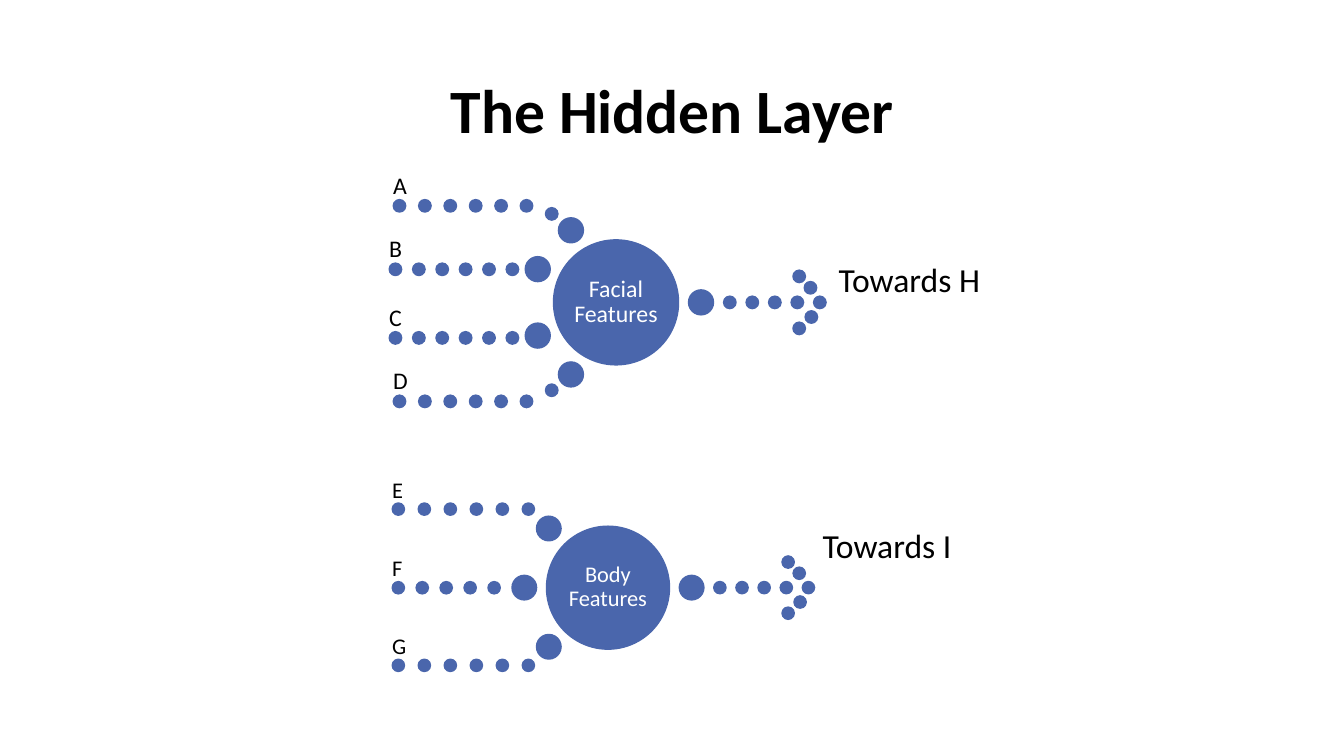
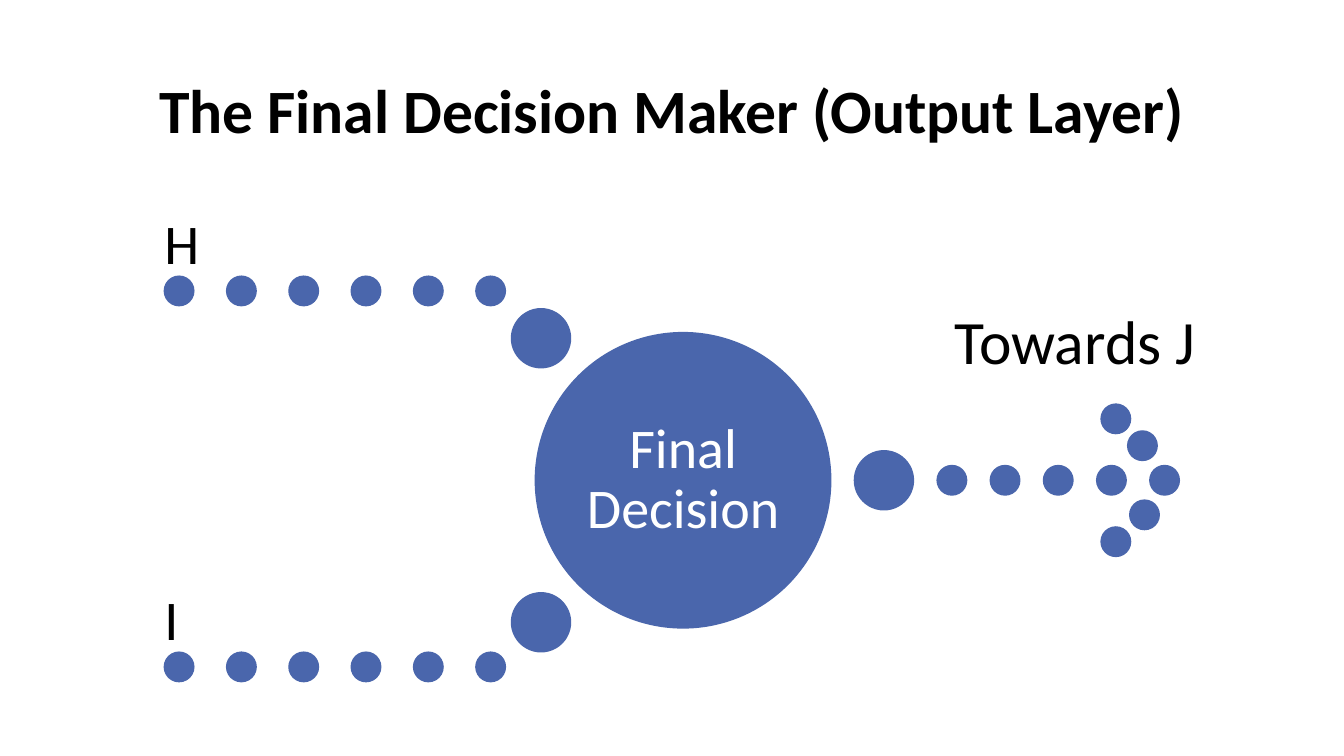
import math

import pptx
import pptx.dml.color
import pptx.enum.shapes
import pptx.enum.text
import pptx.util

Inches = pptx.util.Inches
ALIGN = pptx.enum.text.PP_ALIGN
ANCHOR = pptx.enum.text.MSO_ANCHOR

FONT = "Calibri"
BLUE, BLACK, WHITE = "4A66AC", "000000", "FFFFFF"
TITLE_BOX = (0.92, 0.4, 11.5, 1.45)
OUTPUT_LABEL_WIDTH = 3.21

# Proportions of a diagram, relative to the diameter of its circle
DOT, JOINT, ORBIT, GAP = 0.1, 0.2, 0.68, 0.08
ARROW_STEP, ARROW_DOTS = 0.18, 5
LABEL_HEIGHT, TEXT_BOX, TEXT_INSET = 0.25, 0.71, 0.02
# Arrowhead dots, in dot sizes from the tip
ARROWHEAD = [(-1.65, -2.08), (-1.65, 2.08), (-0.75, -1.17), (-0.68, 1.17)]

# circle: left, top, diameter
# inputs: label, first dot left, last dot left, top, dot count, joint angle, bend dot
# output: label, left, top, height, text size
SLIDES = [
    ("The Hidden Layer", [
        dict(name="Body Features", circle=(5.42, 5.22, 1.22), size=16,
             inputs=[("E", 3.89, 5.18, 4.99, 6, 45, None),
                     ("F", 3.89, 4.84, 5.77, 5, 0, None),
                     ("G", 3.89, 5.18, 6.54, 6, -45, None)],
             output=("Towards I", 8.06, 5.16, 0.5, 24)),
        dict(name="Facial Features", circle=(5.49, 2.38, 1.24), size=17,
             inputs=[("A", 3.9, 5.16, 1.98, 6, 58, (5.41, 2.06)),
                     ("B", 3.86, 5.02, 2.61, 6, 23, None),
                     ("C", 3.86, 5.02, 3.29, 6, -23, None),
                     ("D", 3.9, 5.16, 3.92, 6, -58, (5.41, 3.81))],
             output=("Towards H", 8.22, 2.52, 0.5, 24)),
    ]),
    ("The Final Decision Maker (Output Layer)", [
        dict(name="Final Decision", circle=(5.31, 3.3, 2.93), size=40,
             inputs=[("H", 1.63, 4.72, 2.74, 6, 45, None),
                     ("I", 1.63, 4.72, 6.47, 6, -45, None)],
             output=("Towards J", 9.37, 2.96, 0.84, 44)),
    ]),
]


def rgb(value):
    return pptx.dml.color.RGBColor.from_string(value)


def write(frame, text, size, color=BLACK, bold=False, align=ALIGN.LEFT,
          anchor=ANCHOR.TOP, spacing=None, inset=None):
    frame.word_wrap = True
    frame.vertical_anchor = anchor
    if inset is not None:
        frame.margin_left = frame.margin_right = Inches(inset)
        frame.margin_top = frame.margin_bottom = Inches(inset)
    paragraph = frame.paragraphs[0]
    paragraph.alignment = align
    paragraph.line_spacing = spacing
    run = paragraph.add_run()
    run.text = text
    run.font.name = FONT
    run.font.size = pptx.util.Pt(size)
    run.font.bold = bold
    run.font.color.rgb = rgb(color)


def add_text(shapes, box, text, size, **text_format):
    textbox = shapes.add_textbox(*map(Inches, box))
    write(textbox.text_frame, text, size, **text_format)
    return textbox


def add_circle(shapes, left, top, diameter):
    shape = shapes.add_shape(pptx.enum.shapes.MSO_SHAPE.OVAL,
                             *map(Inches, (left, top, diameter, diameter)))
    shape.shadow.inherit = False
    shape.fill.solid()
    shape.fill.fore_color.rgb = rgb(BLUE)
    shape.line.color.rgb = rgb(BLUE)
    shape.line.width = pptx.util.Pt(1)


def add_arrow(shapes, circle):
    left, top, diameter = circle
    dot, joint, gap = (ratio * diameter for ratio in (DOT, JOINT, GAP))
    middle = top + diameter / 2
    joint_left = left + diameter + gap
    first = joint_left + joint + gap
    tip = first + (ARROW_DOTS - 1) * ARROW_STEP * diameter
    dot_top = middle - dot / 2
    add_circle(shapes, joint_left, middle - joint / 2, joint)
    for index in range(ARROW_DOTS):
        add_circle(shapes, first + index * ARROW_STEP * diameter, dot_top, dot)
    for across, down in ARROWHEAD:
        add_circle(shapes, tip + across * dot, dot_top + down * dot, dot)


def add_input(shapes, circle, size, label, first, last, top, count, angle, bend):
    """Draw a labelled row of dots and the joint that leads it to the circle."""
    left, circle_top, diameter = circle
    dot, joint = DOT * diameter, JOINT * diameter
    offset = (diameter - joint) / 2
    radians = math.radians(angle)
    add_circle(shapes, left + offset - ORBIT * diameter * math.cos(radians),
               circle_top + offset - ORBIT * diameter * math.sin(radians), joint)
    step = (last - first) / (count - 1)
    for index in range(count):
        add_circle(shapes, first + index * step, top, dot)
    if bend:
        add_circle(shapes, *bend, dot)
    height = LABEL_HEIGHT * diameter
    add_text(shapes, (first, top - height, last + dot - first, height), label, size,
             anchor=ANCHOR.BOTTOM, spacing=0.9, inset=0)


def add_neuron(slide, name, circle, size, inputs, output):
    shapes = slide.shapes.add_group_shape().shapes
    left, top, diameter = circle
    add_arrow(shapes, circle)
    add_circle(shapes, *circle)
    side = TEXT_BOX * diameter
    margin = (diameter - side) / 2
    add_text(shapes, (left + margin, top + margin, side, side), name, size,
             color=WHITE, align=ALIGN.CENTER, anchor=ANCHOR.MIDDLE, spacing=0.9,
             inset=TEXT_INSET * diameter)
    for row in inputs:
        add_input(shapes, circle, size, *row)
    label, label_left, label_top, height, label_size = output
    textbox = add_text(slide.shapes, (label_left, label_top, OUTPUT_LABEL_WIDTH, height),
                       label, label_size)
    textbox.text_frame.auto_size = pptx.enum.text.MSO_AUTO_SIZE.SHAPE_TO_FIT_TEXT


def add_titled_slide(presentation, text):
    slide = presentation.slides.add_slide(presentation.slide_layouts[5])
    title = slide.shapes.title
    title.left, title.top, title.width, title.height = map(Inches, TITLE_BOX)
    write(title.text_frame, text, 44, bold=True, align=ALIGN.CENTER,
          anchor=ANCHOR.MIDDLE, spacing=0.9)
    return slide


def main():
    presentation = pptx.Presentation()
    presentation.slide_width = Inches(13.33)
    presentation.slide_height = Inches(7.5)
    for title, neurons in SLIDES:
        slide = add_titled_slide(presentation, title)
        for neuron in neurons:
            add_neuron(slide, **neuron)
    presentation.save("out.pptx")


if __name__ == "__main__":
    main()
